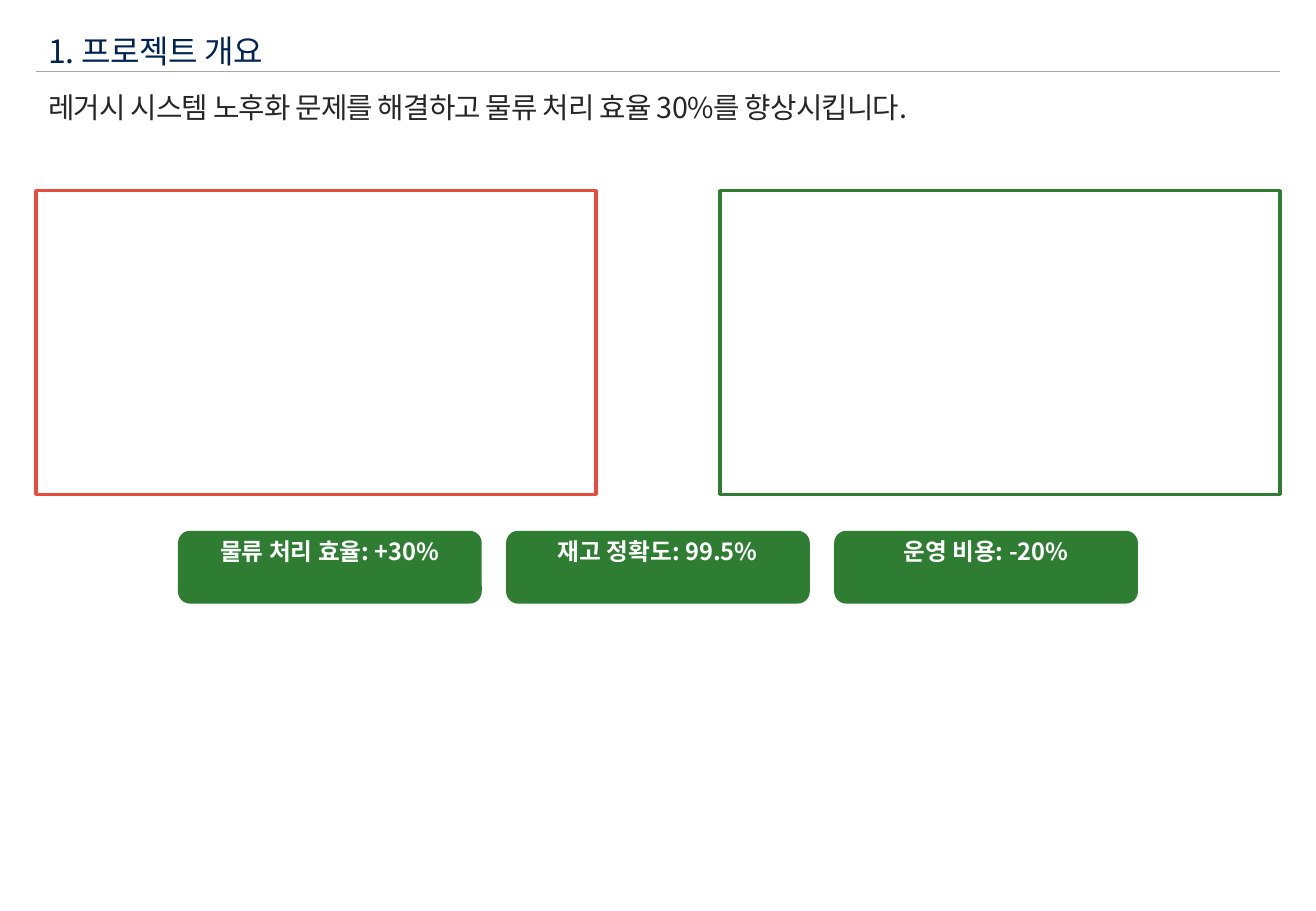
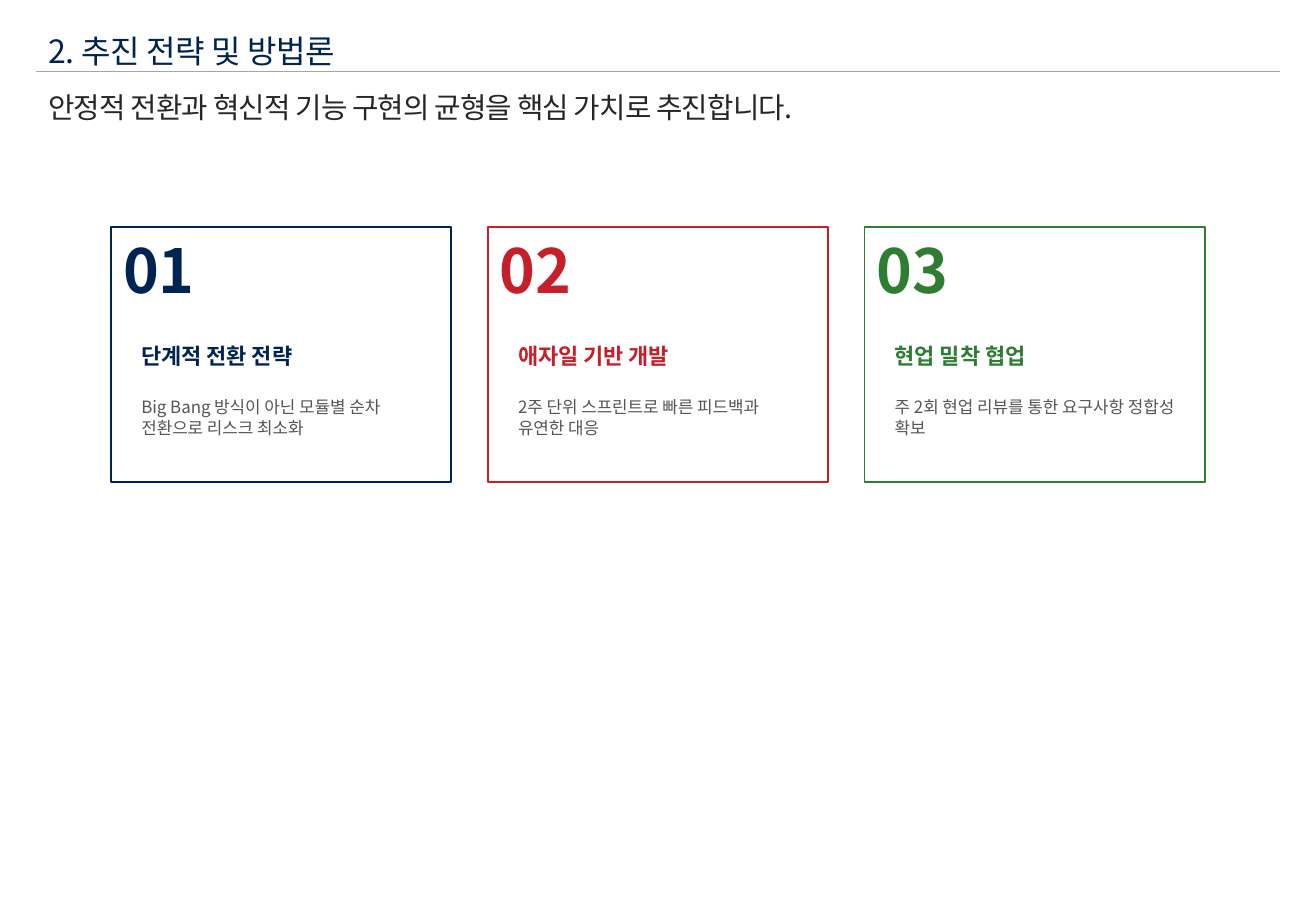
"""Build two project slides: overview and strategy."""
from dataclasses import dataclass

from lxml import etree
from pptx import Presentation
from pptx.dml.color import RGBColor
from pptx.enum.shapes import MSO_CONNECTOR, MSO_SHAPE
from pptx.enum.text import MSO_ANCHOR, MSO_AUTO_SIZE, PP_ALIGN
from pptx.oxml.ns import qn
from pptx.util import Inches, Pt

STRAIGHT = MSO_CONNECTOR.STRAIGHT
RECT, ROUND = MSO_SHAPE.RECTANGLE, MSO_SHAPE.ROUNDED_RECTANGLE
TOP, MIDDLE = MSO_ANCHOR.TOP, MSO_ANCHOR.MIDDLE
GROW, FIXED = MSO_AUTO_SIZE.SHAPE_TO_FIT_TEXT, MSO_AUTO_SIZE.NONE
LEFT, CENTER = PP_ALIGN.LEFT, PP_ALIGN.CENTER

FONT = "Noto Sans CJK KR"
WIDTH, HEIGHT, MARGIN = 10.83, 7.5, 0.3
CONTENT = WIDTH - 2 * MARGIN
COLORS = {
    "navy": "002452", "crimson": "C51F2A", "green": "2E7D32", "red": "E74C3C",
    "ink": "262626", "body": "555555", "rule": "A6A6A6", "white": "FFFFFF",
}


@dataclass(frozen=True)
class Style:
    """Look of one kind of text."""
    size: float
    bold: bool = False
    align: PP_ALIGN = LEFT
    line_spacing: float | None = None
    tracking: float = 0


@dataclass(frozen=True)
class Row:
    """Equal boxes centred across the slide."""
    top: float
    width: float
    height: float
    gap: float

    def lefts(self, count: int) -> list[float]:
        """Return the left edge of each box."""
        start = (WIDTH - count * self.width - (count - 1) * self.gap) / 2
        return [start + i * (self.width + self.gap) for i in range(count)]


@dataclass(frozen=True)
class Card:
    """One strategy card."""
    title: str
    body: str
    color: str


SECTION = Style(19, line_spacing=1.2, tracking=-0.2)
MESSAGE = Style(17, line_spacing=1.2, tracking=-0.5)
METRIC = Style(14, bold=True, align=CENTER)
NUMBER, CARD_TITLE, CARD_BODY = Style(36, bold=True), Style(13, bold=True), Style(10)

PANEL_ROW = Row(1.57, 4.61, 2.5, 1.02)
METRIC_ROW = Row(4.37, 2.5, 0.6, 0.2)
CARD_ROW = Row(1.87, 2.8, 2.1, 0.3)
CARD_PAD = 0.15

PANELS = ["red", "green"]
METRICS = ["물류 처리 효율: +30%", "재고 정확도: 99.5%", "운영 비용: -20%"]
CARDS = [
    Card("단계적 전환 전략", "Big Bang 방식이 아닌 모듈별 순차 전환으로 리스크 최소화", "navy"),
    Card("애자일 기반 개발", "2주 단위 스프린트로 빠른 피드백과 유연한 대응", "crimson"),
    Card("현업 밀착 협업", "주 2회 현업 리뷰를 통한 요구사항 정합성 확보", "green"),
]


def rgb(name: str) -> RGBColor:
    """Look up a palette colour."""
    return RGBColor.from_string(COLORS[name])


def write(sp, text: str, style: Style, color: str) -> None:
    """Put one styled paragraph into a shape."""
    p = sp.text_frame.paragraphs[0]
    p.text = text
    p.alignment = style.align
    if style.line_spacing:
        p.line_spacing = style.line_spacing
    font = p.font
    font.name, font.size, font.bold = FONT, Pt(style.size), style.bold
    font.color.rgb = rgb(color)
    props = p._p.pPr.find(qn("a:defRPr"))
    etree.SubElement(props, qn("a:ea"), typeface=FONT)
    if style.tracking:
        props.set("spc", str(round(style.tracking * 100)))


def add_text(slide, box: tuple, text: str, style: Style, color: str,
             anchor: MSO_ANCHOR = TOP, fit: MSO_AUTO_SIZE = GROW):
    """Add a wrapping text box."""
    sp = slide.shapes.add_textbox(*map(Inches, box))
    tf = sp.text_frame
    tf.word_wrap, tf.auto_size, tf.vertical_anchor = True, fit, anchor
    write(sp, text, style, color)
    return sp


def add_box(slide, kind: MSO_SHAPE, box: tuple, fill: str,
            line: str | None = None, weight: float = 1):
    """Add a filled shape with an optional outline."""
    sp = slide.shapes.add_shape(kind, *map(Inches, box))
    sp.shadow.inherit = False
    sp.fill.solid()
    sp.fill.fore_color.rgb = rgb(fill)
    if line:
        sp.line.color.rgb = rgb(line)
        sp.line.width = Pt(weight)
    else:
        sp.line.fill.background()
    return sp


def add_slide(prs, section: str, message: str):
    """Add a slide with the shared header."""
    slide = prs.slides.add_slide(prs.slide_layouts[6])
    rule = slide.shapes.add_connector(
        STRAIGHT, *map(Inches, (MARGIN, 0.59, WIDTH - MARGIN, 0.59)))
    rule.line.color.rgb = rgb("rule")
    rule.line.width = Pt(0.5)
    etree.SubElement(rule._element.spPr, qn("a:effectLst"))
    title = add_text(slide, (MARGIN, 0.63, CONTENT, 0.78), message, MESSAGE, "ink", fit=FIXED)
    title.text_frame.margin_bottom = 0
    add_text(slide, (MARGIN, 0.19, 6.75, 0.4), section, SECTION, "navy", MIDDLE)
    return slide


def add_metric(slide, left: float, text: str) -> None:
    """Add a rounded metric badge."""
    row = METRIC_ROW
    sp = add_box(slide, ROUND, (left, row.top, row.width, row.height), "green")
    tf = sp.text_frame
    tf.word_wrap, tf.vertical_anchor, tf.margin_top = True, TOP, Inches(0.02)
    write(sp, text, METRIC, "white")


def add_card(slide, left: float, number: int, card: Card) -> None:
    """Add a numbered strategy card."""
    row = CARD_ROW
    inner, width = left + CARD_PAD, row.width - 2 * CARD_PAD
    add_box(slide, RECT, (left, row.top, row.width, row.height), "white", card.color)
    add_text(slide, (left, row.top, row.width, 0.6), f"{number:02}", NUMBER, card.color)
    add_text(slide, (inner, row.top + 0.9, width, 0.4), card.title, CARD_TITLE, card.color)
    add_text(slide, (inner, row.top + 1.35, width, 0.65), card.body, CARD_BODY, "body")


def build_overview(prs) -> None:
    """Build the project overview slide."""
    slide = add_slide(prs, "1. 프로젝트 개요",
                      "레거시 시스템 노후화 문제를 해결하고 물류 처리 효율 30%를 향상시킵니다.")
    row = PANEL_ROW
    for left, color in zip(row.lefts(len(PANELS)), PANELS):
        add_box(slide, RECT, (left, row.top, row.width, row.height), "white", color, 2)
    for left, text in zip(METRIC_ROW.lefts(len(METRICS)), METRICS):
        add_metric(slide, left, text)


def build_strategy(prs) -> None:
    """Build the strategy slide."""
    slide = add_slide(prs, "2. 추진 전략 및 방법론",
                      "안정적 전환과 혁신적 기능 구현의 균형을 핵심 가치로 추진합니다.")
    lefts = CARD_ROW.lefts(len(CARDS))
    for number, (left, card) in enumerate(zip(lefts, CARDS), 1):
        add_card(slide, left, number, card)


def main() -> None:
    """Build and save the presentation."""
    prs = Presentation()
    prs.slide_width, prs.slide_height = Inches(WIDTH), Inches(HEIGHT)
    build_overview(prs)
    build_strategy(prs)
    prs.save("out.pptx")


if __name__ == "__main__":
    main()
